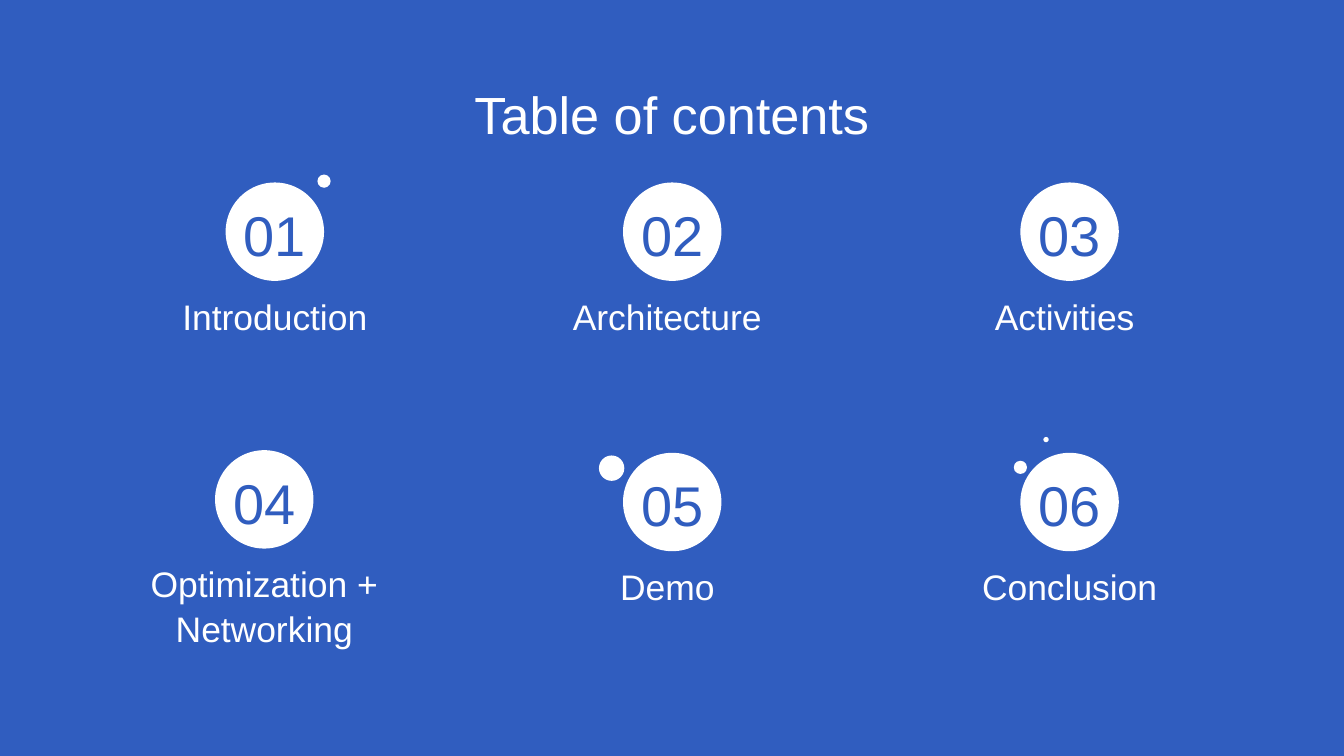
from dataclasses import dataclass

from pptx import Presentation
from pptx.dml.color import RGBColor
from pptx.enum.shapes import MSO_SHAPE
from pptx.enum.text import MSO_ANCHOR, PP_ALIGN
from pptx.util import Cm, Pt

OVAL = MSO_SHAPE.OVAL
CENTER = PP_ALIGN.CENTER
TOP, BOTTOM = MSO_ANCHOR.TOP, MSO_ANCHOR.BOTTOM
TITLE_ONLY = 5


@dataclass(frozen=True)
class Theme:
    blue: RGBColor = RGBColor(0x30, 0x5D, 0xBF)
    white: RGBColor = RGBColor(0xFF, 0xFF, 0xFF)
    font: str = "Arial"
    title_size: int = 28
    number_size: int = 30
    label_size: int = 19


@dataclass(frozen=True)
class Box:
    left: float
    top: float
    width: float
    height: float

    def inside(self, left, top, width, height):
        return Box(self.left + left, self.top + top, width, height)

    def lengths(self):
        return [Cm(value) for value in (self.left, self.top, self.width, self.height)]


THEME = Theme()
PAGE_WIDTH, PAGE_HEIGHT = 25.4, 14.29
TITLE_BOX = Box(0.86, 1.24, 23.67, 1.6)
GRID_LEFT, GRID_TOP = 1.83, 3.45
COLUMN_STEP, ROW_STEP = 7.51, 5.11
COLUMNS = 3
ENTRY_WIDTH, ENTRY_HEIGHT = 6.73, 3.0
CIRCLE_SIZE = 1.86
INSET = 0.25

ENTRIES = ["Introduction", "Architecture ", "Activities ",
           "Optimization + Networking", "Demo ", "Conclusion"]
NUDGES = {4: (-0.2, -0.05)}
DOTS = {
    1: [(4.17, -0.15, 0.25)],
    5: [(1.98, 0.05, 0.48)],
    6: [(2.31, 0.15, 0.25), (2.87, -0.3, 0.1)],
}


def write_text(shape, text, size, color, anchor=TOP, spacing=1.0):
    frame = shape.text_frame
    frame.word_wrap = True
    frame.vertical_anchor = anchor
    frame.margin_left = frame.margin_right = Cm(INSET)
    frame.margin_top = frame.margin_bottom = Cm(INSET)
    para = frame.paragraphs[0]
    para.text = text
    para.alignment = CENTER
    para.line_spacing = spacing
    para.space_before = Pt(0)
    para.font.name = THEME.font
    para.font.size = Pt(size)
    para.font.color.rgb = color


def add_circle(page, box):
    circle = page.shapes.add_shape(OVAL, *box.lengths())
    circle.shadow.inherit = False
    circle.fill.solid()
    circle.fill.fore_color.rgb = THEME.white
    circle.line.fill.background()


def add_title(page, box):
    title = page.shapes.title
    title.left, title.top, title.width, title.height = box.lengths()
    write_text(title, "Table of contents", THEME.title_size, THEME.white, spacing=1.05)


def add_entry(page, box, number, label):
    circle_box = box.inside((box.width - CIRCLE_SIZE) / 2, 0, CIRCLE_SIZE, CIRCLE_SIZE)
    add_circle(page, circle_box)
    number_box = page.shapes.add_textbox(*circle_box.lengths())
    write_text(number_box, f"{number:02}", THEME.number_size, THEME.blue, BOTTOM)
    label_height = box.height - CIRCLE_SIZE
    label_area = box.inside(0, CIRCLE_SIZE - 0.03, box.width, label_height)
    label_box = page.shapes.add_textbox(*label_area.lengths())
    write_text(label_box, label, THEME.label_size, THEME.white, spacing=1.05)
    for left, top, size in DOTS.get(number, []):
        add_circle(page, box.inside(left, top, size, size))


def add_contents(page, left, top):
    for index, label in enumerate(ENTRIES):
        number = index + 1
        row, column = divmod(index, COLUMNS)
        shift_x, shift_y = NUDGES.get(number, (0, 0))
        box = Box(left + column * COLUMN_STEP + shift_x, top + row * ROW_STEP + shift_y,
                  ENTRY_WIDTH, ENTRY_HEIGHT)
        add_entry(page, box, number, label)


def main():
    deck = Presentation()
    deck.slide_width, deck.slide_height = Cm(PAGE_WIDTH), Cm(PAGE_HEIGHT)
    page = deck.slides.add_slide(deck.slide_layouts[TITLE_ONLY])
    page.background.fill.solid()
    page.background.fill.fore_color.rgb = THEME.blue
    add_title(page, TITLE_BOX)
    add_contents(page, GRID_LEFT, GRID_TOP)
    deck.save("out.pptx")


if __name__ == "__main__":
    main()
